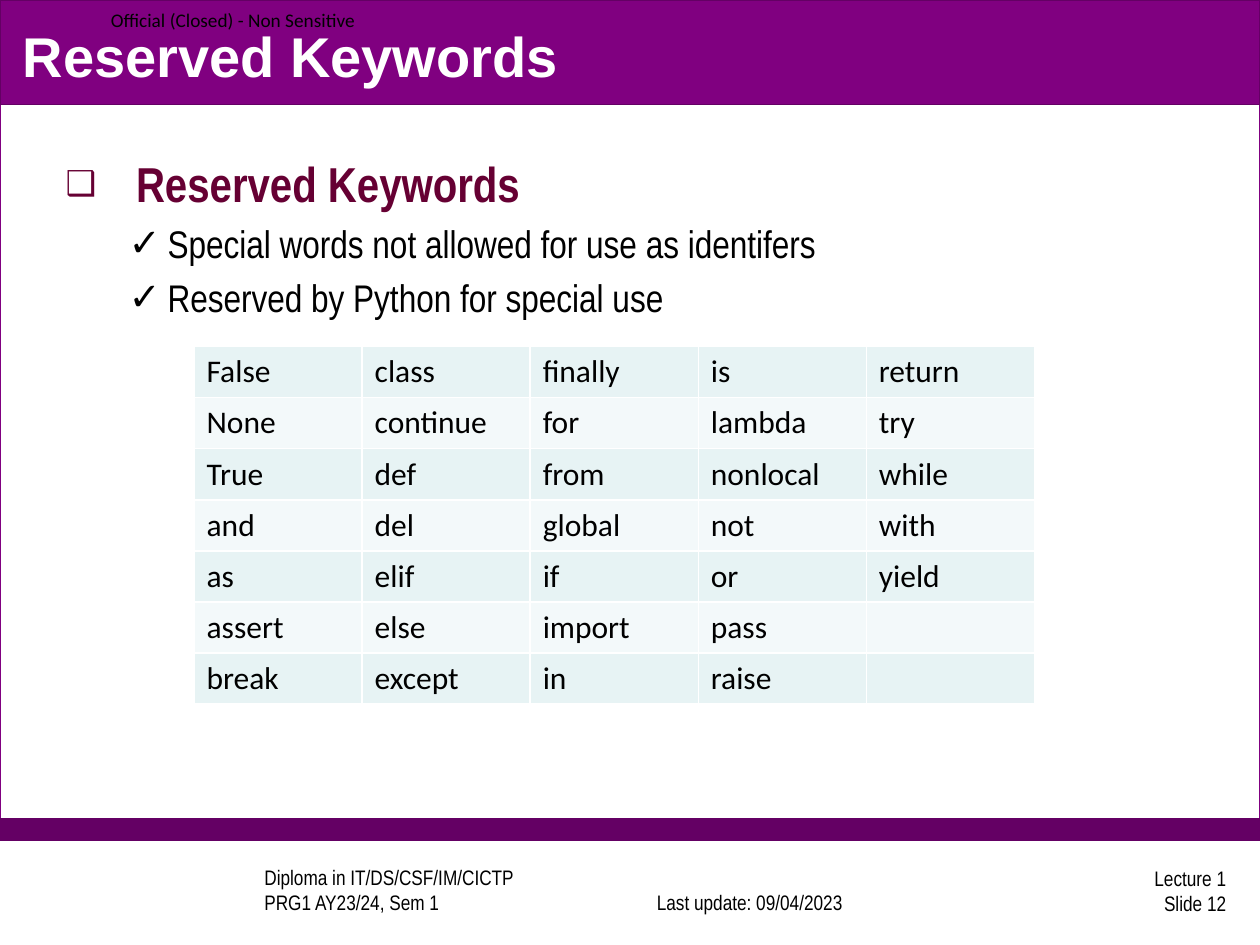
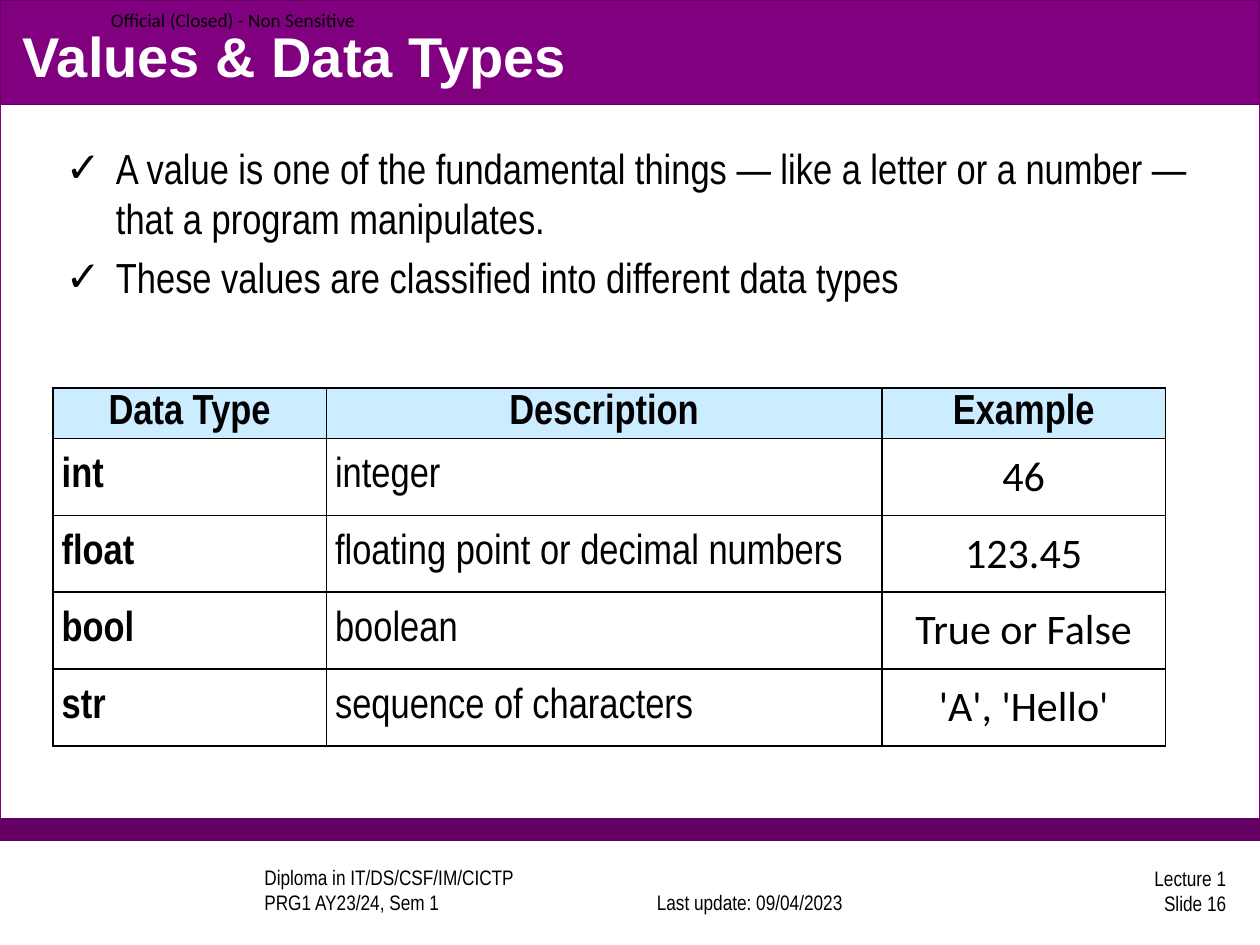
from itertools import zip_longest

from lxml import etree
from pptx import Presentation
from pptx.dml.color import RGBColor
from pptx.enum.shapes import MSO_SHAPE
from pptx.enum.text import MSO_ANCHOR, MSO_AUTO_SIZE, PP_ALIGN
from pptx.oxml.ns import qn
from pptx.util import Inches, Pt

RECT = MSO_SHAPE.RECTANGLE
MIDDLE, BOTTOM = MSO_ANCHOR.MIDDLE, MSO_ANCHOR.BOTTOM
LEFT, CENTER, RIGHT, JUSTIFY = PP_ALIGN.LEFT, PP_ALIGN.CENTER, PP_ALIGN.RIGHT, PP_ALIGN.JUSTIFY
NO_FIT = MSO_AUTO_SIZE.NONE

BLACK = RGBColor(0, 0, 0)
WHITE = RGBColor(255, 255, 255)
PURPLE = RGBColor(0x80, 0, 0x80)
DARK_PURPLE = RGBColor(0x64, 0, 0x64)
MAROON = RGBColor(0x66, 0, 0x33)
HEADER_BLUE = RGBColor(0xCC, 0xEC, 0xFF)
ROW_TINTS = (RGBColor(0xE7, 0xF3, 0xF4), RGBColor(0xF3, 0xF9, 0xFA))

NARROW = "Arial Narrow"
TITLE_FONT = {"name": "Arial", "size": Pt(32), "bold": True, "color": WHITE}
FOOTER_FONT = {"name": NARROW, "size": Pt(12), "color": BLACK}
LABEL_FONT = {"name": "Calibri", "size": Pt(11), "color": BLACK}
HEADING_FONT = {"name": NARROW, "size": Pt(28), "bold": True, "color": MAROON}
POINT_FONT = {"name": NARROW, "size": Pt(22), "bold": False, "color": BLACK}
LARGE_POINT_FONT = {**POINT_FONT, "size": Pt(24)}
KEYWORD_FONT = {"name": "Calibri", "size": Pt(18), "color": BLACK}
TERM_FONT = {**LARGE_POINT_FONT, "bold": True}
EXAMPLE_FONT = {**LARGE_POINT_FONT, "name": "Calibri"}

BANDS = [
    ((0, 0, 10, 6.67), WHITE, PURPLE),
    ((0, 6.5, 10, 0.17), DARK_PURPLE, DARK_PURPLE),
    ((0, 0, 10, 0.83), PURPLE, DARK_PURPLE),
]

KEYWORD_COLUMNS = [
    "False None True and as assert break",
    "class continue def del elif else except",
    "finally for from global if import in",
    "is lambda nonlocal not or pass raise",
    "return try while with yield",
]

DATA_TYPES = [
    ("Data Type", "Description", "Example"),
    ("int", "integer", "46"),
    ("float", "floating point or decimal numbers", "123.45"),
    ("bool", "boolean", "True or False"),
    ("str", "sequence of characters", "'A', 'Hello'"),
]


def inches(box):
    return [Inches(v) for v in box]


def place(shape, box):
    for name, value in zip(("left", "top", "width", "height"), inches(box)):
        setattr(shape, name, value)


def write(p, text, fmt, align=LEFT):
    p.alignment = align
    for i, line in enumerate(text.split("\n")):
        if i:
            p.add_line_break()
        r = p.add_run()
        r.text = line
        for name, value in fmt.items():
            if name == "color":
                r.font.color.rgb = value
            else:
                setattr(r.font, name, value)


def set_bullet(p, char, indent, hang, percent=100):
    pPr = p._p.get_or_add_pPr()
    pPr.set("marL", str(Inches(indent)))
    pPr.set("indent", str(-Inches(hang)))
    for tag, attr, value in (("a:buSzPct", "val", str(percent * 1000)),
                             ("a:buFont", "typeface", "Arial"),
                             ("a:buChar", "char", char)):
        etree.SubElement(pPr, qn(tag)).set(attr, value)


def set_borders(cell, color, width):
    tcPr = cell._tc.get_or_add_tcPr()
    for side in ("a:lnL", "a:lnR", "a:lnT", "a:lnB"):
        ln = etree.SubElement(tcPr, qn(side), w=str(Pt(width)))
        fill = etree.SubElement(ln, qn("a:solidFill"))
        etree.SubElement(fill, qn("a:srgbClr"), val=str(color))


def fill_cell(cell, color, border):
    set_borders(cell, border, 1)
    cell.fill.solid()
    cell.fill.fore_color.rgb = color


def add_bands(s):
    for i, (box, fill, line) in enumerate(BANDS):
        sp = s.shapes.add_shape(RECT, *inches(box))
        sp.shadow.inherit = False
        sp.fill.solid()
        sp.fill.fore_color.rgb = fill
        sp.line.color.rgb = line
        sp.line.width = Pt(0.75)
        s.shapes._spTree.insert(2 + i, sp._element)


def add_label(s, box, text, fmt, align=LEFT, anchor=MIDDLE, margin=0.1):
    tf = s.shapes.add_textbox(*inches(box)).text_frame
    tf.word_wrap = True
    tf.vertical_anchor = anchor
    tf.margin_left = tf.margin_right = Inches(margin)
    tf.margin_top = tf.margin_bottom = Inches(margin / 2)
    write(tf.paragraphs[0], text, fmt, align)


def add_footer(s, number, top):
    add_label(s, (2, top, 2.67, 0.42), "Diploma in IT/DS/CSF/IM/CICTP\nPRG1 AY23/24, Sem 1",
              FOOTER_FONT, anchor=BOTTOM)
    add_label(s, (4.91, top, 2.08, 0.42), "Last update: 09/04/2023", FOOTER_FONT, CENTER, BOTTOM)
    add_label(s, (7.75, top - 0.03, 2.08, 0.42), f"Lecture 1\nSlide {number}", FOOTER_FONT, RIGHT)


def add_lecture_slide(prs, title, number):
    s = prs.slides.add_slide(prs.slide_layouts[1])
    add_bands(s)
    place(s.shapes.title, (0.08, 0.13, 9.83, 0.62))
    tf = s.shapes.title.text_frame
    tf.auto_size = NO_FIT
    tf.vertical_anchor = MIDDLE
    write(tf.paragraphs[0], title, TITLE_FONT)
    add_footer(s, number, 6.89)
    add_label(s, (0.88, 0, 2.13, 0.31), "Official (Closed) - Non Sensitive", LABEL_FONT, margin=0)
    return s


def fill_body(s, box, items):
    body = s.placeholders[1]
    place(body, box)
    tf = body.text_frame
    tf.auto_size = NO_FIT
    for i, (text, level, fmt, bullet) in enumerate(items):
        p = tf.add_paragraph() if i else tf.paragraphs[0]
        p.level = level
        write(p, text, fmt)
        set_bullet(p, *bullet)


def add_plain_table(s, box, widths, heights):
    table = s.shapes.add_table(len(heights), len(widths), *inches(box)).table
    table.first_row = table.horz_banding = False
    for column, width in zip(table.columns, widths):
        column.width = Inches(width)
    for row, height in zip(table.rows, heights):
        row.height = Inches(height)
    return table


def add_keyword_table(s, box):
    rows = list(zip_longest(*(c.split() for c in KEYWORD_COLUMNS), fillvalue=""))
    columns = len(KEYWORD_COLUMNS)
    table = add_plain_table(s, box, [box[2] / columns] * columns, [box[3] / len(rows)] * len(rows))
    for i, row in enumerate(rows):
        for j, word in enumerate(row):
            cell = table.cell(i, j)
            fill_cell(cell, ROW_TINTS[i % 2], WHITE)
            if word:
                write(cell.text_frame.paragraphs[0], word, KEYWORD_FONT)


def add_type_table(s, box):
    header = 0.31
    body_rows = len(DATA_TYPES) - 1
    table = add_plain_table(s, box, (2.17, 4.41, 2.25),
                            [header] + [(box[3] - header) / body_rows] * body_rows)
    styles = ((TERM_FONT, JUSTIFY), (LARGE_POINT_FONT, LEFT), (EXAMPLE_FONT, CENTER))
    for i, row in enumerate(DATA_TYPES):
        for j, text in enumerate(row):
            cell = table.cell(i, j)
            fill_cell(cell, WHITE if i else HEADER_BLUE, BLACK)
            cell.vertical_anchor = MIDDLE
            cell.margin_left = cell.margin_right = Inches(0.07)
            cell.margin_top = cell.margin_bottom = 0
            p = cell.text_frame.paragraphs[0]
            p.space_before = p.space_after = Pt(3)
            write(p, text, *(styles[j] if i else (TERM_FONT, CENTER)))


def build_keywords_slide(prs):
    s = add_lecture_slide(prs, "Reserved Keywords", 12)
    check = ("✓", 0.81, 0.31)
    fill_body(s, (0.42, 1.17, 8.92, 5.33), [
        ("Reserved Keywords", 0, HEADING_FONT, ("❑", 0.56, 0.56, 70)),
        ("Special words not allowed for use as identifers", 1, POINT_FONT, check),
        ("Reserved by Python for special use", 1, POINT_FONT, check),
    ])
    add_keyword_table(s, (1.54, 2.75, 6.67, 2.84))


def build_types_slide(prs):
    s = add_lecture_slide(prs, "Values & Data Types", 16)
    check = ("✓", 0.4, 0.4)
    fill_body(s, (0.42, 1.08, 9.33, 5.5), [
        ("A value is one of the fundamental things — like a letter or a number — "
         "that a program manipulates.", 1, LARGE_POINT_FONT, check),
        ("These values are classified into different data types", 1, LARGE_POINT_FONT, check),
    ])
    add_type_table(s, (0.42, 3.08, 8.83, 2.75))


def main():
    prs = Presentation()
    prs.slide_width, prs.slide_height = Inches(10), Inches(7.5)
    build_keywords_slide(prs)
    build_types_slide(prs)
    prs.save("out.pptx")


if __name__ == "__main__":
    main()
